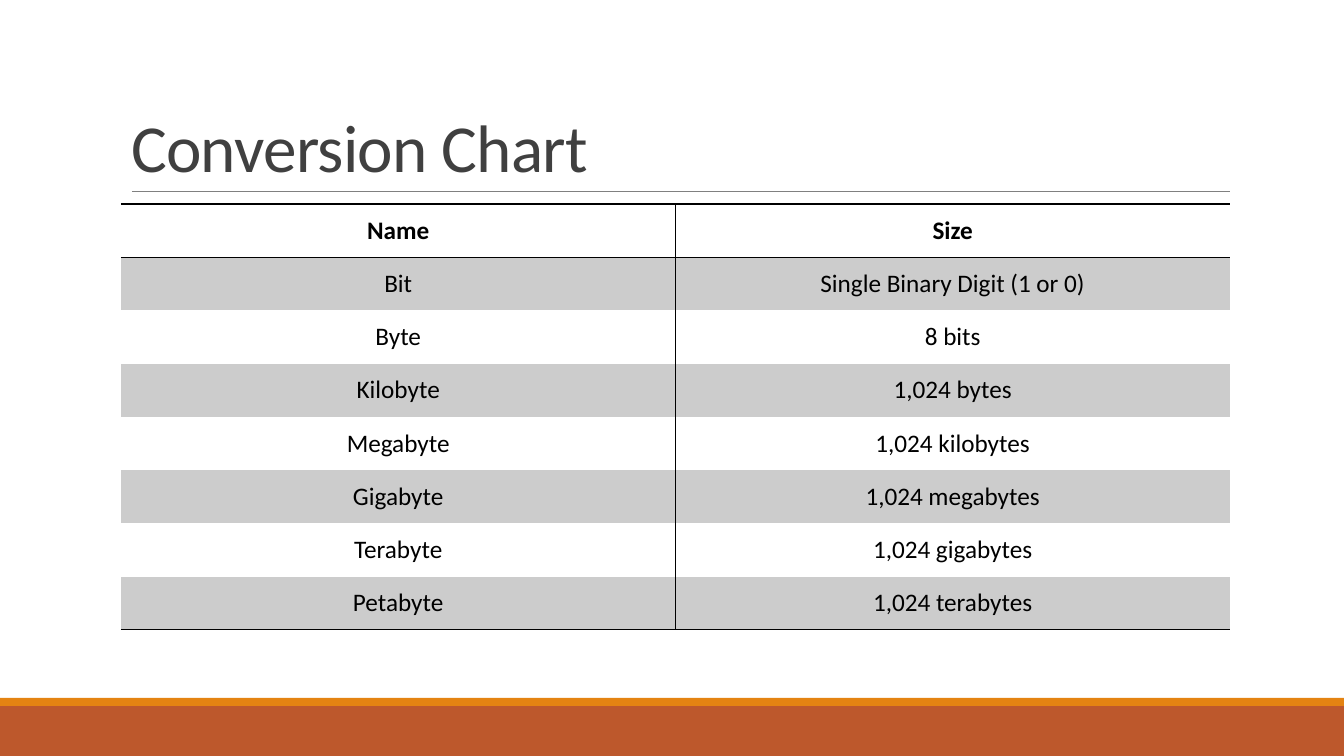
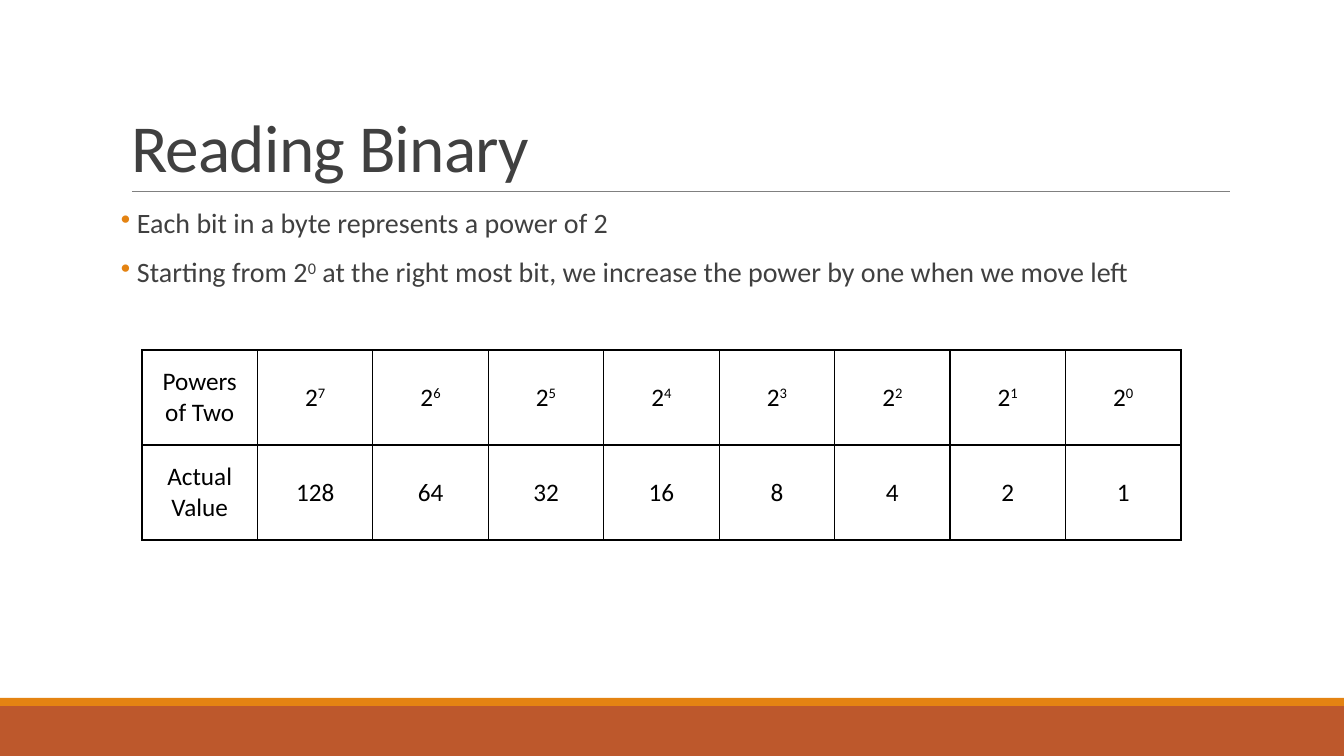
from lxml.etree import SubElement
from pptx import Presentation
from pptx.dml.color import RGBColor
from pptx.enum.shapes import MSO_CONNECTOR, MSO_SHAPE
from pptx.enum.text import MSO_ANCHOR, MSO_AUTO_SIZE, PP_ALIGN
from pptx.oxml.ns import qn
from pptx.util import Pt

EMU_PER_PX = 914400 / 100.8
WIDTH, HEIGHT = 1344, 756
TITLE_ONLY = 5


def px(*lengths):
    return [round(length * EMU_PER_PX) for length in lengths]


def color(hex_string):
    return RGBColor.from_string(hex_string)


def apply(target, values):
    for name, value in values.items():
        setattr(target, name, value)


class Deck:
    FONT = "Calibri"
    INK, BLACK, RULE = "404040", "000000", "808080"
    ORANGE, RUST, STRIPE = "E48312", "BD582C", "CCCCCC"
    TITLE = {"alignment": PP_ALIGN.LEFT, "line_spacing": 0.85}
    BULLET = {"alignment": PP_ALIGN.LEFT, "line_spacing": 0.9,
              "space_before": Pt(12), "space_after": Pt(2)}
    FRAME = {"word_wrap": True, "auto_size": MSO_AUTO_SIZE.NONE}
    PLAIN_TABLE = {"first_row": False, "horz_banding": False}

    def __init__(self):
        self.presentation = Presentation()
        width, height = px(WIDTH, HEIGHT)
        apply(self.presentation, {"slide_width": width, "slide_height": height})
        self.slide = None

    def add_slide(self, title):
        layout = self.presentation.slide_layouts[TITLE_ONLY]
        self.slide = self.presentation.slides.add_slide(layout)
        self.band(0, 706, WIDTH, 50, self.RUST)
        self.band(0, 698, WIDTH, 8, self.ORANGE)
        self.rule(132, 191, 1230)
        self.title(title)

    def band(self, left, top, width, height, fill):
        shape = self.slide.shapes.add_shape(
            MSO_SHAPE.RECTANGLE, *px(left, top, width, height))
        shape.shadow.inherit = False
        shape.fill.solid()
        shape.fill.fore_color.rgb = color(fill)
        shape.line.fill.background()

    def rule(self, left, top, right):
        line = self.slide.shapes.add_connector(
            MSO_CONNECTOR.STRAIGHT, *px(left, top, right, top))
        line.line.color.rgb = color(self.RULE)
        line.line.width = Pt(0.5)
        SubElement(line._element.spPr, qn("a:effectLst"))

    def title(self, text):
        shape = self.slide.shapes.title
        apply(shape, dict(zip(("left", "top", "width", "height"),
                              px(121, 31, 1109, 160))))
        apply(shape.text_frame,
              {**self.FRAME, "vertical_anchor": MSO_ANCHOR.BOTTOM})
        paragraph = shape.text_frame.paragraphs[0]
        apply(paragraph, self.TITLE)
        self.add_text(paragraph, text, 48, self.INK)
        paragraph.runs[0]._r.get_or_add_rPr().set("spc", "-50")

    def add_text(self, paragraph, text, size, ink, bold=False):
        """Every second piece between bars is superscript."""
        for index, piece in enumerate(text.split("|")):
            run = paragraph.add_run()
            run.text = piece
            apply(run.font, {"name": self.FONT, "size": Pt(size), "bold": bold})
            run.font.color.rgb = color(ink)
            if index % 2:
                run._r.get_or_add_rPr().set("baseline", "30000")

    def bullets(self, left, top, width, height, lines):
        box = self.slide.shapes.add_textbox(*px(left, top, width, height))
        frame = box.text_frame
        apply(frame, {**self.FRAME, "margin_left": 0, "margin_right": 0})
        for index, text in enumerate(lines):
            paragraph = frame.add_paragraph() if index else frame.paragraphs[0]
            apply(paragraph, self.BULLET)
            properties = paragraph._p.get_or_add_pPr()
            indent, = px(16)
            properties.set("marL", str(indent))
            properties.set("indent", str(-indent))
            bullet_color = SubElement(properties, qn("a:buClr"))
            SubElement(bullet_color, qn("a:srgbClr"), val=self.ORANGE)
            SubElement(properties, qn("a:buChar"), char="•")
            self.add_text(paragraph, text, 20, self.INK)

    def table(self, left, top, width, height, rows, striped=False):
        row_count, column_count = len(rows), len(rows[0])
        table = self.slide.shapes.add_table(
            row_count, column_count, *px(left, top, width, height)).table
        apply(table, self.PLAIN_TABLE)
        for column in table.columns:
            column.width, = px(width / column_count)
        for row in table.rows:
            row.height, = px(height / row_count)
        for r, texts in enumerate(rows):
            for c, text in enumerate(texts):
                cell = table.cell(r, c)
                cell.vertical_anchor = MSO_ANCHOR.MIDDLE
                paragraph = cell.text_frame.paragraphs[0]
                paragraph.alignment = PP_ALIGN.CENTER
                self.add_text(paragraph, text, 18, self.BLACK, striped and r == 0)
                # A striped table has no outer sides and no lines between body rows
                self.borders(cell, {
                    "L": not striped or c > 0,
                    "R": not striped or c < column_count - 1,
                    "T": not striped or r < 2,
                    "B": not striped or r in (0, row_count - 1)})
                if striped and r % 2:
                    cell.fill.solid()
                    cell.fill.fore_color.rgb = color(self.STRIPE)
                else:
                    cell.fill.background()

    def borders(self, cell, sides):
        properties = cell._tc.get_or_add_tcPr()
        for side, visible in sides.items():
            line = SubElement(properties, qn(f"a:ln{side}"), w=str(Pt(1)))
            if visible:
                fill = SubElement(line, qn("a:solidFill"))
                SubElement(fill, qn("a:srgbClr"), val=self.BLACK)
            else:
                SubElement(line, qn("a:noFill"))


def main():
    deck = Deck()

    # Unit sizes
    deck.add_slide("Conversion Chart")
    units = ["byte", "kilobyte", "megabyte", "gigabyte", "terabyte", "petabyte"]
    sizes = [(larger.capitalize(), f"1,024 {smaller}s")
             for smaller, larger in zip(units, units[1:])]
    deck.table(121, 204, 1109, 426, [
        ("Name", "Size"),
        ("Bit", "Single Binary Digit (1 or 0)"),
        ("Byte", "8 bits"),
        *sizes], striped=True)

    # Powers of two
    deck.add_slide("Reading Binary")
    deck.bullets(121, 204, 1109, 444, [
        "Each bit in a byte represents a power of 2",
        "Starting from 2|0| at the right most bit, "
        "we increase the power by one when we move left"])
    powers = range(7, -1, -1)
    deck.table(142, 350, 1039, 190, [
        ["Powers of Two", *(f"2|{power}" for power in powers)],
        ["Actual Value", *(str(2 ** power) for power in powers)]])

    deck.presentation.save("out.pptx")


if __name__ == "__main__":
    main()
